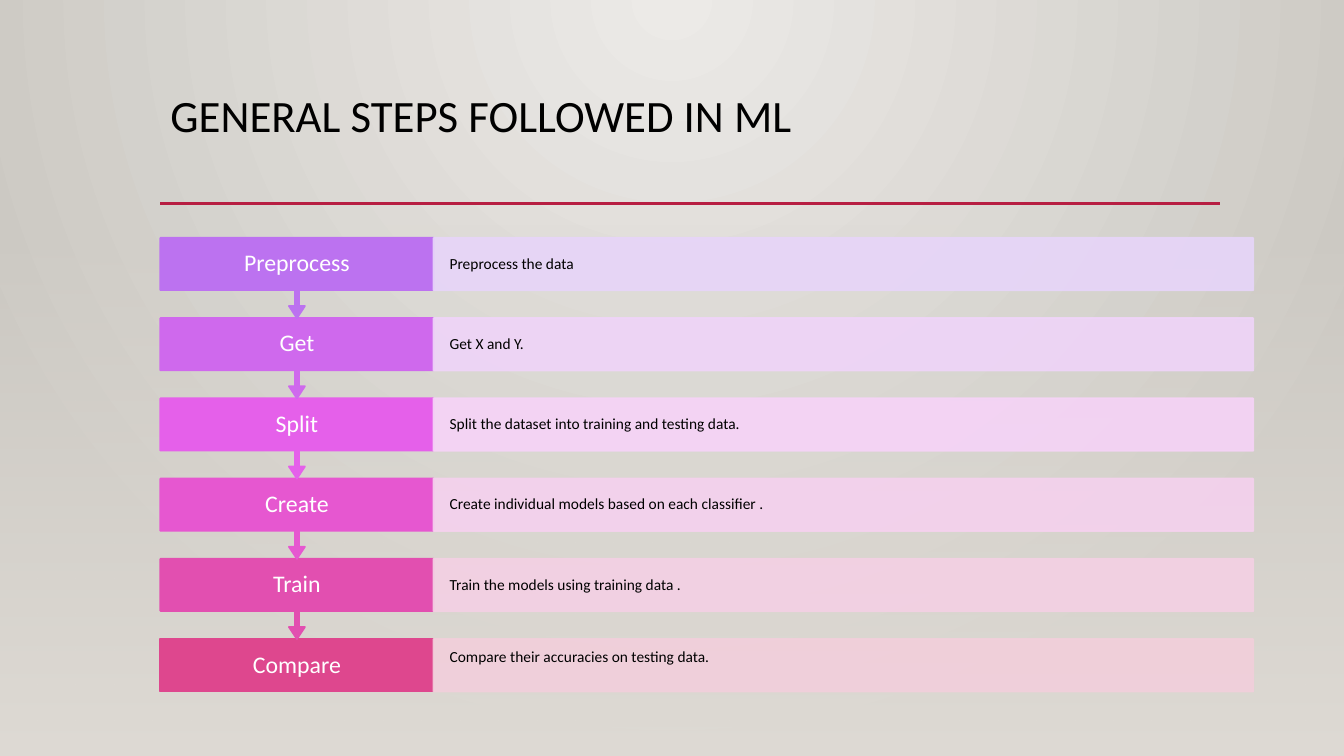
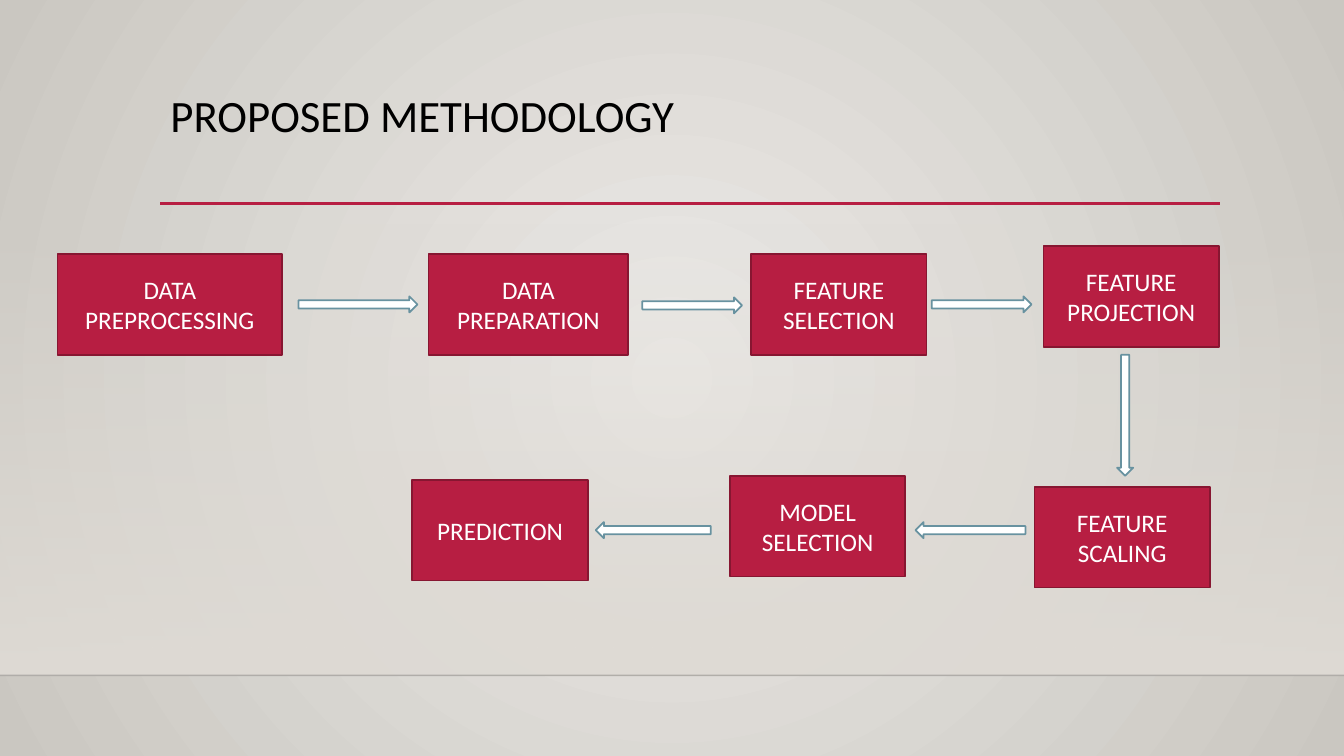
from pptx import Presentation
from pptx.dml.color import RGBColor
from pptx.enum.shapes import MSO_CONNECTOR as CONN, MSO_SHAPE as SHAPE
from pptx.enum.text import MSO_ANCHOR as ANCHOR, MSO_AUTO_SIZE as AUTO, PP_ALIGN as ALIGN
from pptx.oxml import parse_xml
from pptx.oxml.ns import nsdecls, qn
from pptx.util import Inches, Pt
from lxml.etree import SubElement

# Shared look
FONT = "Calibri"
BLACK = RGBColor(0x00, 0x00, 0x00)
WHITE = RGBColor(0xFF, 0xFF, 0xFF)
INK = RGBColor(0x00, 0x00, 0x01)
CRIMSON = RGBColor(0xB7, 0x1E, 0x42)
CRIMSON_DARK = RGBColor(0x87, 0x16, 0x31)
STEEL = RGBColor(0x68, 0x92, 0xA0)
BACK_LIGHT = RGBColor(0xEC, 0xEA, 0xE7)
BACK_DARK = RGBColor(0xCA, 0xC7, 0xC1)
BAND = RGBColor(0xDF, 0xDB, 0xD5)
SLIDE_W, SLIDE_H = 13.33, 7.5
BAND_TOP, FLOOR = 2.21, 6.7
TOP_GLOW, CENTRE_GLOW = (43, 0, 43, 100), (50, 50, 50, 50)

# Steps: name, description, colour, tint
STEPS = [
    ("Preprocess", "Preprocess the data",
     RGBColor(0xBC, 0x72, 0xF0), RGBColor(0xE7, 0xD5, 0xF9)),
    ("Get", "Get X and Y.",
     RGBColor(0xCF, 0x69, 0xED), RGBColor(0xEF, 0xD4, 0xF8)),
    ("Split", "Split the dataset into training and testing data.",
     RGBColor(0xE5, 0x60, 0xEA), RGBColor(0xF6, 0xD3, 0xF7)),
    ("Create", "Create individual models based on each classifier .",
     RGBColor(0xE6, 0x57, 0xD0), RGBColor(0xF5, 0xD1, 0xEE)),
    ("Train", "Train the models using training data .",
     RGBColor(0xE2, 0x4F, 0xB0), RGBColor(0xF4, 0xD0, 0xE4)),
    ("Compare", "Compare their accuracies on testing data.",
     RGBColor(0xDE, 0x47, 0x8E), RGBColor(0xF2, 0xCF, 0xDB)),
]

# Flow boxes: text, left, top, width
STAGES = [
    ("DATA PREPROCESSING", 0.57, 2.52, 2.23),
    ("DATA PREPARATION", 4.25, 2.52, 1.98),
    ("FEATURE SELECTION", 7.45, 2.52, 1.74),
    ("FEATURE PROJECTION", 10.35, 2.44, 1.74),
    ("FEATURE SCALING", 10.26, 4.83, 1.74),
    ("MODEL SELECTION", 7.24, 4.72, 1.74),
    ("PREDICTION", 4.09, 4.76, 1.74),
]

# Flow arrows: shape, left, top, width, height
ARROW = 0.16
FLOW_ARROWS = [
    (SHAPE.RIGHT_ARROW, 2.96, 2.94, 1.18, ARROW),
    (SHAPE.RIGHT_ARROW, 6.37, 2.95, 0.99, ARROW),
    (SHAPE.RIGHT_ARROW, 9.24, 2.94, 0.99, ARROW),
    (SHAPE.DOWN_ARROW, 11.08, 3.52, ARROW, 1.2),
    (SHAPE.LEFT_ARROW, 9.08, 5.18, 1.09, ARROW),
    (SHAPE.LEFT_ARROW, 5.91, 5.18, 1.14, ARROW),
]


# Fills and lines
def set_alpha(element, percent):
    for color in element.iter(qn("a:srgbClr")):
        SubElement(color, qn("a:alpha")).set("val", str(percent * 1000))


def set_gradient(fill, owner, first, last, direction, first_alpha=100):
    """Replace the fill inside owner by a two-stop gradient."""
    fill.solid()
    solid = owner.find(qn("a:solidFill"))
    owner.replace(solid, parse_xml(
        f'<a:gradFill {nsdecls("a")} rotWithShape="1"><a:gsLst>'
        f'<a:gs pos="0"><a:srgbClr val="{first}">'
        f'<a:alpha val="{first_alpha * 1000}"/></a:srgbClr></a:gs>'
        f'<a:gs pos="100000"><a:srgbClr val="{last}"/></a:gs>'
        f'</a:gsLst>{direction}</a:gradFill>'))


def set_glow(fill, owner, centre):
    l, t, r, b = (v * 1000 for v in centre)
    set_gradient(fill, owner, BACK_LIGHT, BACK_DARK,
                 f'<a:path path="circle"><a:fillToRect l="{l}" t="{t}" r="{r}" b="{b}"/></a:path>')


# Elements
def write(shape, text, size=18, color=WHITE, align=ALIGN.CENTER, anchor=ANCHOR.MIDDLE,
          insets=(0.1, 0.05, 0.1, 0.05), spacing=1.0):
    tf = shape.text_frame
    tf.word_wrap = True
    tf.auto_size = AUTO.NONE
    tf.vertical_anchor = anchor
    tf.margin_left, tf.margin_top, tf.margin_right, tf.margin_bottom = map(Inches, insets)
    p = tf.paragraphs[0]
    p.alignment = align
    p.line_spacing = spacing
    r = p.add_run()
    r.text = text
    r.font.name = FONT
    r.font.size = Pt(size)
    r.font.color.rgb = color


def add_box(s, kind, x, y, w, h, fill=None, line=None, alpha=None):
    sp = s.shapes.add_shape(kind, Inches(x), Inches(y), Inches(w), Inches(h))
    sp.shadow.inherit = False
    if fill is not None:
        sp.fill.solid()
        sp.fill.fore_color.rgb = fill
    if line is None:
        sp.line.fill.background()
    else:
        sp.line.color.rgb = line
        sp.line.width = Pt(1.25)
    if alpha is not None:
        set_alpha(sp.element.spPr, alpha)
    return sp


def add_rule(s, x1, x2, y, color, width, alpha=None):
    rule = s.shapes.add_connector(CONN.STRAIGHT, Inches(x1), Inches(y), Inches(x2), Inches(y))
    rule.line.color.rgb = color
    rule.line.width = Pt(width)
    if alpha is not None:
        set_alpha(rule.element.spPr, alpha)
    SubElement(rule.element.spPr, qn("a:effectLst"))
    return rule


def add_title_rule(s):
    return add_rule(s, 1.59, 12.1, 2.02, CRIMSON, 2.5)


def add_band(s, bottom):
    band = add_box(s, SHAPE.RECTANGLE, 0, BAND_TOP, SLIDE_W, bottom - BAND_TOP)
    set_gradient(band.fill, band.element.spPr, BAND, BAND,
                 '<a:lin ang="5400000" scaled="0"/>', first_alpha=0)
    return band


# Shared layout and slide frame
def style_layout(layout, s):
    """Place the title and move the band and rules from s into the layout."""
    title = layout.placeholders[0]
    title.left, title.top, title.width, title.height = map(Inches, (1.59, 0.88, 10.5, 1.15))
    parts = [add_band(s, FLOOR), add_rule(s, 0, SLIDE_W, FLOOR, INK, 1, alpha=20),
             add_title_rule(s)]
    for i, part in enumerate(parts):
        part.element.xpath(".//p:cNvPr")[0].set("id", str(20 + i))
        layout.shapes.element.insert(2 + i, part.element)


def add_slide(prs, layout, title, glow):
    s = prs.slides.add_slide(layout)
    fill = s.background.fill
    fill.solid()
    set_glow(fill, s.element.find(".//" + qn("p:bgPr")), glow)
    write(s.shapes.title, title, size=32, color=BLACK, align=ALIGN.LEFT,
          anchor=ANCHOR.TOP, spacing=0.9)
    return s


# Slide contents
def add_steps(s):
    cover = add_box(s, SHAPE.RECTANGLE, 0, 0, SLIDE_W, SLIDE_H)
    set_glow(cover.fill, cover.element.spPr, TOP_GLOW)
    s.shapes.element.insert(2, cover.element)
    add_title_rule(s)
    add_band(s, SLIDE_H)

    left, name_w, text_w, row_h = 1.59, 2.71, 8.13, 0.52
    first, last = 2.36, 6.34
    pitch = (last - first) / (len(STEPS) - 1)
    # Last row first, so that each arrow tip lies over the box below it
    for i, (name, text, color, tint) in reversed(list(enumerate(STEPS))):
        y = first + i * pitch
        is_last = i == len(STEPS) - 1
        if is_last:
            label = add_box(s, SHAPE.RECTANGLE, left, y, name_w, row_h, color, color)
        else:
            label = add_box(s, SHAPE.DOWN_ARROW_CALLOUT, left, y, name_w, pitch, color, color)
            for k, value in enumerate((0.05, 0.1, 0.15, 0.65)):
                label.adjustments[k] = value
        write(label, name, size=17, insets=(0.19, 0.13, 0.19, 0.13), spacing=0.9)
        detail = add_box(s, SHAPE.RECTANGLE, left + name_w, y, text_w, row_h, tint, tint, alpha=90)
        top, bottom = (0.08, 0.24) if is_last else (0.15, 0.15)
        write(detail, text, size=11, color=BLACK, align=ALIGN.LEFT,
              insets=(0.16, top, 0.16, bottom), spacing=0.9)


def add_flow(s):
    for text, x, y, w in STAGES:
        write(add_box(s, SHAPE.RECTANGLE, x, y, w, 1, CRIMSON, CRIMSON_DARK), text)
    for kind, x, y, w, h in FLOW_ARROWS:
        add_box(s, kind, x, y, w, h, WHITE, STEEL)


def main():
    prs = Presentation()
    prs.slide_width, prs.slide_height = Inches(SLIDE_W), Inches(SLIDE_H)
    layout = prs.slide_layouts[5]

    steps = add_slide(prs, layout, "GENERAL STEPS FOLLOWED IN ML", TOP_GLOW)
    style_layout(layout, steps)
    add_steps(steps)

    flow = add_slide(prs, layout, "PROPOSED METHODOLOGY", CENTRE_GLOW)
    add_flow(flow)

    prs.save("out.pptx")


if __name__ == "__main__":
    main()
